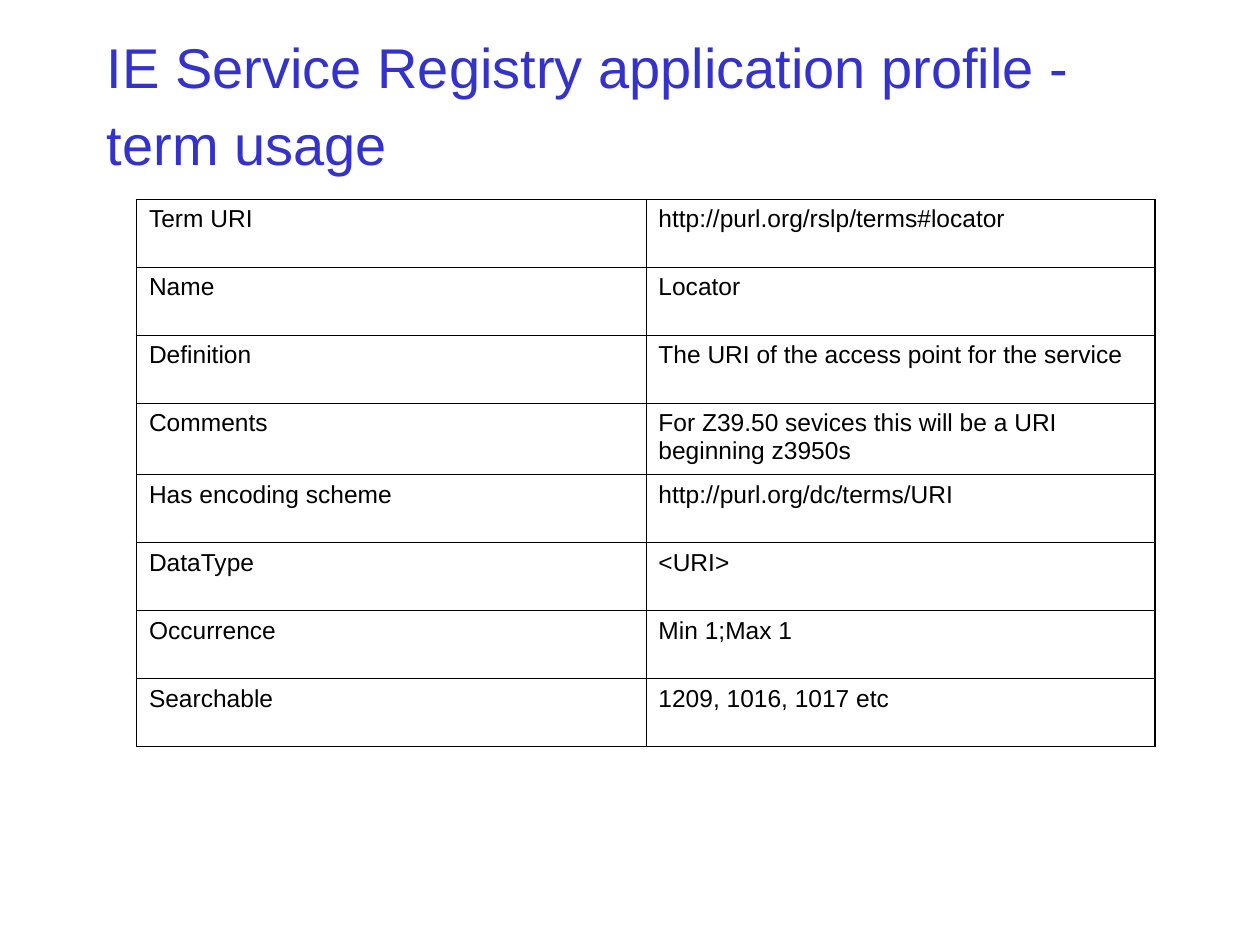
from lxml import etree
from pptx import Presentation
from pptx import util as u
from pptx.dml.color import RGBColor
from pptx.enum import text
from pptx.oxml import ns

THIN, THICK = 0.45, 1.08


def set_font(span, size, colour):
    span.font.name = "Arial"
    span.font.size = u.Pt(size)
    span.font.color.rgb = RGBColor.from_string(colour)


def set_border(cell, side, width, colour):
    line = etree.SubElement(cell._tc.get_or_add_tcPr(), ns.qn(f"a:{side}"),
                            w=str(int(u.Pt(width))))
    fill = etree.SubElement(line, ns.qn("a:solidFill"))
    etree.SubElement(fill, ns.qn("a:srgbClr"), val=colour)


deck = Presentation()
deck.slide_width, deck.slide_height = u.Cm(25.4), u.Cm(19.05)
page = deck.slides.add_slide(deck.slide_layouts[5])

# Title
title = page.shapes.title
title.left, title.top = u.Cm(1.9), u.Cm(0.64)
title.width, title.height = u.Cm(22.43), u.Cm(2.74)
frame = title.text_frame
frame.text = "IE Service Registry application profile -\vterm usage"
frame.word_wrap = True
frame.auto_size = text.MSO_AUTO_SIZE.NONE
frame.vertical_anchor = text.MSO_ANCHOR.MIDDLE
para = frame.paragraphs[0]
para.alignment = text.PP_ALIGN.LEFT
para.line_spacing = 1.15
for span in para.runs:
    set_font(span, 32, "3333CC")

# Term usage table
terms = [
    ("Term URI", "http://purl.org/rslp/terms#locator"),
    ("Name", "Locator"),
    ("Definition", "The URI of the access point for the service"),
    ("Comments", "For Z39.50 sevices this will be a URI beginning z3950s"),
    ("Has encoding scheme", "http://purl.org/dc/terms/URI"),
    ("DataType", "<URI>"),
    ("Occurrence", "Min 1;Max 1"),
    ("Searchable", "1209, 1016, 1017 etc"),
]
table = page.shapes.add_table(len(terms), 2, u.Cm(2.75), u.Cm(4.02),
                              u.Cm(20.54), u.Cm(11.07)).table
table.first_row = table.horz_banding = False
for column in table.columns:
    column.width = u.Cm(10.27)

last = len(terms) - 1
for r, term in enumerate(terms):
    # The row with two lines of text is slightly taller
    table.rows[r].height = u.Cm(1.44 if term[0] == "Comments" else 1.37)
    for c, words in enumerate(term):
        cell = table.cell(r, c)
        cell.text_frame.text = words
        set_font(cell.text_frame.paragraphs[0].runs[0], 14, "000000")
        # Thick lines around the table, thin lines inside
        outer = {"lnL": c == 0, "lnR": c == 1, "lnT": r == 0, "lnB": r == last}
        for side, is_outer in outer.items():
            set_border(cell, side, THICK if is_outer else THIN, "000000")
        cell.fill.background()

deck.save("out.pptx")
